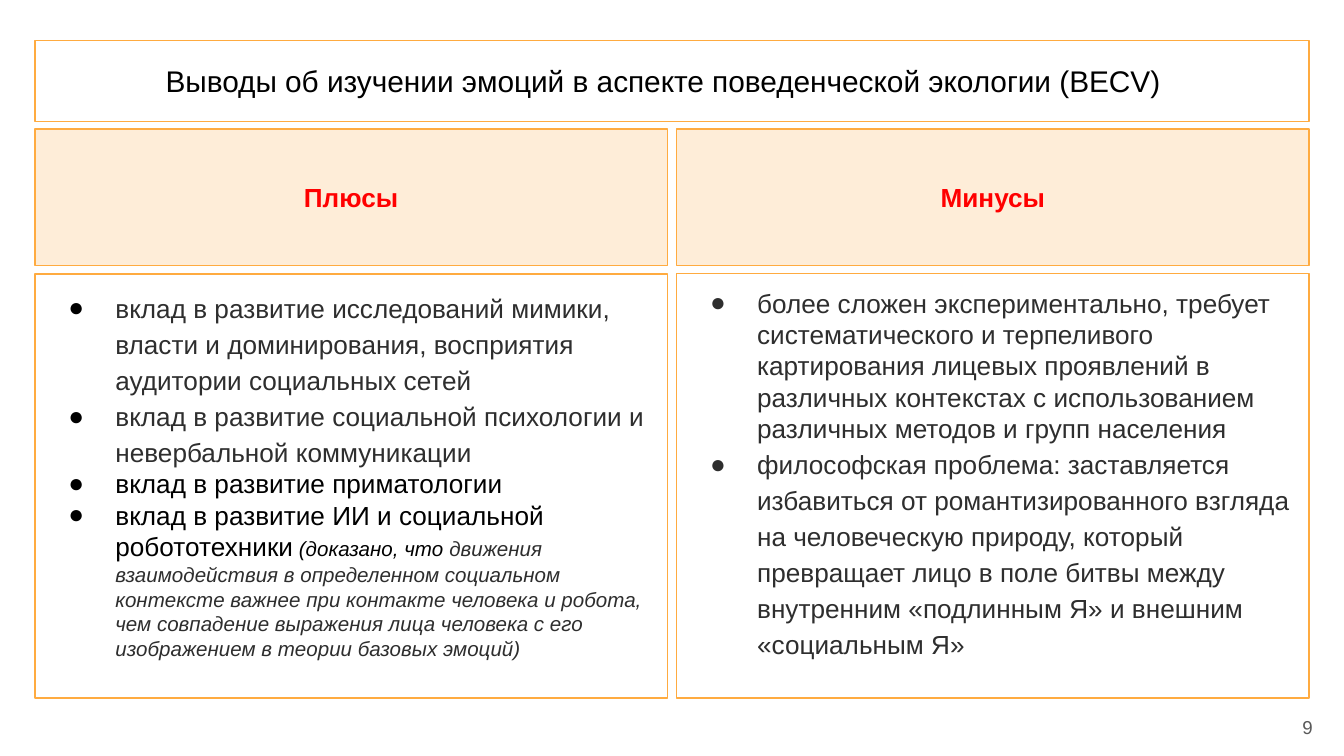
from lxml.etree import SubElement
from pptx import Presentation
from pptx.dml.color import RGBColor
from pptx.enum.shapes import MSO_SHAPE
from pptx.enum.text import MSO_ANCHOR, PP_ALIGN
from pptx.oxml.ns import qn
from pptx.util import Pt

PX = 4572
BLACK = RGBColor(0x00, 0x00, 0x00)
CHARCOAL = RGBColor(0x2E, 0x2E, 0x2E)
GRAY = RGBColor(0x59, 0x59, 0x59)
RED = RGBColor(0xFF, 0x00, 0x00)
ORANGE = RGBColor(0xFF, 0xAB, 0x40)
CREAM = RGBColor(0xFE, 0xED, 0xD8)

LEFT, RIGHT = 52, 1007
COLUMN_WIDTH = 941
TOTAL_WIDTH = RIGHT + COLUMN_WIDTH - LEFT


class SlideBuilder:
    font_name = "Arial"
    inset = 20
    bullet_margin = 100
    bullet_indent = -70

    def __init__(self, page):
        self.page = page

    def frame(self, box, anchor, right_inset=inset):
        text_frame = box.text_frame
        settings = {
            "word_wrap": True,
            "vertical_anchor": anchor,
            "margin_left": self.inset * PX,
            "margin_top": self.inset * PX,
            "margin_right": right_inset * PX,
            "margin_bottom": self.inset * PX,
        }
        for name, value in settings.items():
            setattr(text_frame, name, value)
        return text_frame

    def panel(self, bounds, fill=None):
        box = self.page.shapes.add_shape(
            MSO_SHAPE.RECTANGLE, *(length * PX for length in bounds))
        box.shadow.inherit = False
        if fill is None:
            box.fill.background()
        else:
            box.fill.solid()
            box.fill.fore_color.rgb = fill
        box.line.color.rgb = ORANGE
        box.line.width = Pt(0.75)
        return box

    def span(self, para, text, size, color, bold=False, italic=False):
        span = para.add_run()
        span.text = text
        settings = {"name": self.font_name, "size": Pt(size),
                    "bold": bold, "italic": italic}
        for name, value in settings.items():
            setattr(span.font, name, value)
        span.font.color.rgb = color

    def heading(self, bounds, text, size, color, fill=None, bold=False,
                right_inset=inset):
        box = self.panel(bounds, fill)
        para = self.frame(box, MSO_ANCHOR.MIDDLE, right_inset).paragraphs[0]
        para.alignment = PP_ALIGN.CENTER
        self.span(para, text, size, color, bold)

    def bullet(self, para, color):
        properties = para._p.get_or_add_pPr()
        properties.set("marL", str(self.bullet_margin * PX))
        properties.set("indent", str(self.bullet_indent * PX))
        bullet_color = SubElement(properties, qn("a:buClr"))
        SubElement(bullet_color, qn("a:srgbClr"), val=str(color))
        SubElement(properties, qn("a:buFont"), typeface=self.font_name)
        SubElement(properties, qn("a:buChar"), char="●")

    def bullet_list(self, bounds, bullet_color, items):
        text_frame = self.frame(self.panel(bounds), MSO_ANCHOR.TOP)
        for index, (spacing, spans) in enumerate(items):
            para = text_frame.add_paragraph() if index else text_frame.paragraphs[0]
            para.alignment = PP_ALIGN.LEFT
            para.line_spacing = spacing
            self.bullet(para, bullet_color)
            for text, size, color, italic in spans:
                self.span(para, text, size, color, italic=italic)

    def page_number(self, bounds, text):
        box = self.page.shapes.add_textbox(*(length * PX for length in bounds))
        para = self.frame(box, MSO_ANCHOR.MIDDLE).paragraphs[0]
        para.alignment = PP_ALIGN.RIGHT
        self.span(para, text, 10, GRAY)


def main():
    deck = Presentation()
    deck.slide_width = 2000 * PX
    deck.slide_height = 1125 * PX
    builder = SlideBuilder(deck.slides.add_slide(deck.slide_layouts[6]))

    builder.bullet_list((RIGHT, 407, COLUMN_WIDTH, 632), CHARCOAL, [
        (1.0, [("более сложен экспериментально, требует систематического и "
                "терпеливого картирования лицевых проявлений в различных "
                "контекстах с использованием различных методов и групп населения",
                14, CHARCOAL, False)]),
        (1.15, [("философская проблема: заставляется избавиться от "
                 "романтизированного взгляда на человеческую природу, который "
                 "превращает лицо в поле битвы между внутренним «подлинным Я» "
                 "и внешним «социальным Я»", 14, CHARCOAL, False)]),
    ])
    builder.page_number((1853, 1039, 120, 86), "9")
    builder.heading((LEFT, 60, TOTAL_WIDTH, 121),
                    "Выводы об изучении эмоций в аспекте поведенческой экологии (BECV)",
                    16, BLACK, right_inset=45)
    for left, title in ((RIGHT, "Минусы"), (LEFT, "Плюсы")):
        builder.heading((left, 192, COLUMN_WIDTH, 203), title, 14, RED, CREAM, True)
    builder.bullet_list((LEFT, 408, COLUMN_WIDTH, 631), BLACK, [
        (1.15, [("вклад в развитие исследований мимики, власти и доминирования, "
                 "восприятия аудитории социальных сетей", 14, CHARCOAL, False)]),
        (1.15, [("вклад в развитие социальной психологии и невербальной "
                 "коммуникации", 14, CHARCOAL, False)]),
        (1.0, [("вклад в развитие приматологии", 14, BLACK, False)]),
        (1.0, [("вклад в развитие ИИ и социальной робототехники", 14, BLACK, False),
               (" (доказано, что ", 11, BLACK, True),
               ("движения взаимодействия в определенном социальном контексте "
                "важнее при контакте человека и робота, чем совпадение выражения "
                "лица человека с его изображением в теории базовых эмоций)",
                11, CHARCOAL, True)]),
    ])

    deck.save("out.pptx")


if __name__ == "__main__":
    main()
